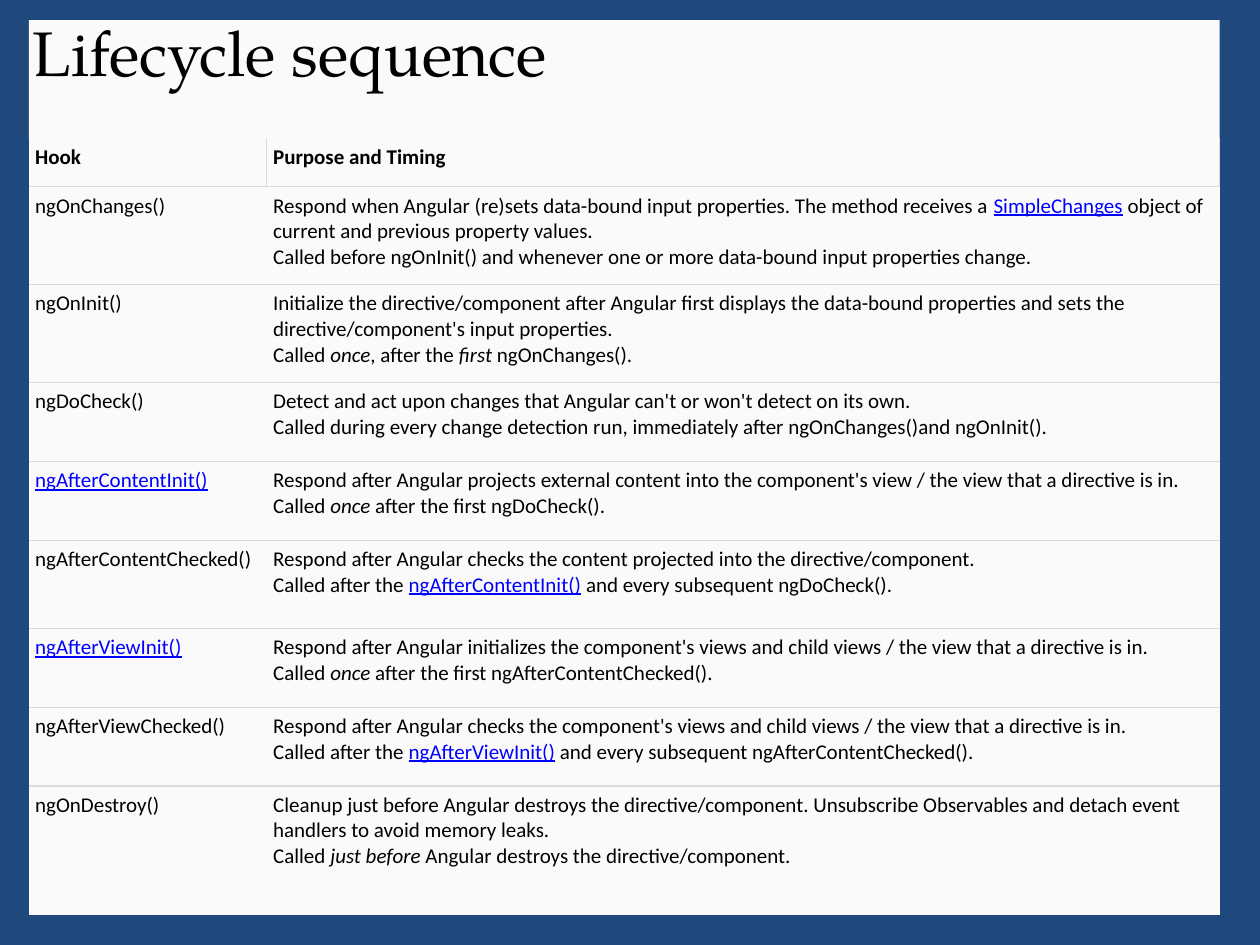
import pptx
import pptx.dml.color
import pptx.enum.text
import pptx.oxml
import pptx.oxml.ns
import pptx.util
from dataclasses import dataclass

Pt = pptx.util.Pt


@dataclass(frozen=True)
class Theme:
    """Colours, fonts and type sizes of the slide."""
    backdrop: str = "1F497D"
    panel: str = "FAFAFA"
    rule: str = "DBDBDB"
    ink: str = "000000"
    link: str = "0000FF"
    title_font: str = "TeX Gyre Pagella"
    body_font: str = "Calibri"
    title_size: float = 36
    body_size: float = 12
    rule_width: float = 0.75


THEME = Theme()
LEFT, TOP, TABLE_TOP = 16.5, 11.5, 78.75
COLUMN_WIDTHS = (136, 544.4)
ROW_HEIGHTS = (28, 56, 56, 45, 45, 50.5, 45, 45, 73.5)
LINK = {"color": THEME.link, "underline": True}
ITALIC = {"italic": True}

# Each cell is a list of paragraphs; each paragraph a list of (text, format) runs.
HOOKS = [
    ([[("ngOnChanges()", {})]], [
        [("Respond when Angular (re)sets data-bound input properties. "
          "The method receives a\u00a0", {}), ("SimpleChanges", LINK),
         ("\u00a0object of current and previous property values.", {})],
        [("Called before\u00a0ngOnInit()\u00a0and whenever one or more "
          "data-bound input properties change.", {})]]),
    ([[("ngOnInit()", {})]], [
        [("Initialize the directive/component after Angular first displays the "
          "data-bound properties and sets the directive/component's input properties.", {})],
        [("Called\u00a0", {}), ("once", ITALIC), (", after the\u00a0", {}),
         ("first\u00a0", ITALIC), ("ngOnChanges().", {})]]),
    ([[("ngDoCheck()", {})]], [
        [("Detect and act upon changes that Angular can't or won't detect on its own.", {})],
        [("Called during every change detection run, immediately "
          "after\u00a0ngOnChanges()and\u00a0ngOnInit().", {})]]),
    ([[("ngAfterContentInit()", LINK)]], [
        [("Respond after Angular projects external content into the component's "
          "view / the view that a directive is in.", {})],
        [("Called\u00a0", {}), ("once", ITALIC),
         ("\u00a0after the first\u00a0ngDoCheck().", {})]]),
    ([[("ngAfterContentChecked()", {})]], [
        [("Respond after Angular checks the content projected into the "
          "directive/component.", {})],
        [("Called after the\u00a0", {}), ("ngAfterContentInit()", LINK),
         ("\u00a0and every subsequent\u00a0ngDoCheck().", {})]]),
    ([[("ngAfterViewInit()", LINK)]], [
        [("Respond after Angular initializes the component's views and child "
          "views / the view that a directive is in.", {})],
        [("Called\u00a0", {}), ("once", ITALIC),
         ("\u00a0after the first\u00a0ngAfterContentChecked().", {})]]),
    ([[("ngAfterViewChecked()", {})]], [
        [("Respond after Angular checks the component's views and child views / "
          "the view that a directive is in.", {})],
        [("Called after the\u00a0", {}), ("ngAfterViewInit()", LINK),
         ("\u00a0and every subsequent\u00a0ngAfterContentChecked().", {})]]),
    ([[("ngOnDestroy()", {})]], [
        [("Cleanup just before Angular destroys the directive/component. Unsubscribe "
          "Observables and detach event handlers to avoid memory leaks.", {})],
        [("Called\u00a0", {}), ("just before", ITALIC),
         ("\u00a0Angular destroys the directive/component.", {})]]),
]
HEADER = tuple([[(label, {"bold": True})]] for label in ("Hook", "Purpose and Timing"))


def rgb(code):
    """Turn a hex code into a colour."""
    return pptx.dml.color.RGBColor.from_string(code)


def paint(fill, code):
    """Make a fill solid in one colour."""
    fill.solid()
    fill.fore_color.rgb = rgb(code)


def add_text(paragraph, text, font=THEME.body_font, size=THEME.body_size,
             color=THEME.ink, bold=False, italic=False, underline=False):
    """Append a formatted run to a paragraph."""
    run = paragraph.add_run()
    run.text = text
    run.font.name, run.font.size = font, Pt(size)
    run.font.bold, run.font.italic, run.font.underline = bold, italic, underline
    run.font.color.rgb = rgb(color)


def set_borders(cell, ruled_sides):
    """Rule the given sides of a cell and clear the others."""
    properties = cell._tc.get_or_add_tcPr()
    namespace = pptx.oxml.ns.nsdecls("a")
    for position, side in enumerate("LRTB"):
        paint_xml = "<a:noFill/>"
        if side in ruled_sides:
            paint_xml = f'<a:solidFill><a:srgbClr val="{THEME.rule}"/></a:solidFill>'
        properties.insert(position, pptx.oxml.parse_xml(
            f'<a:ln{side} {namespace} w="{Pt(THEME.rule_width)}">{paint_xml}</a:ln{side}>'))


def fill_cell(cell, paragraphs, ruled_sides):
    """Write and format one table cell."""
    cell.margin_left = cell.margin_right = Pt(3.6)
    cell.margin_top = cell.margin_bottom = Pt(3.6)
    paint(cell.fill, THEME.panel)
    set_borders(cell, ruled_sides)
    for index, runs in enumerate(paragraphs):
        frame = cell.text_frame
        paragraph = frame.add_paragraph() if index else frame.paragraphs[0]
        for text, style in runs:
            add_text(paragraph, text, **style)


def add_hook_table(slide):
    """Add the table of lifecycle hooks."""
    rows = [HEADER, *HOOKS]
    table = slide.shapes.add_table(
        len(rows), len(COLUMN_WIDTHS), Pt(LEFT), Pt(TABLE_TOP),
        Pt(sum(COLUMN_WIDTHS)), Pt(sum(ROW_HEIGHTS))).table
    table.first_row = table.horz_banding = False
    for column, width in zip(table.columns, COLUMN_WIDTHS):
        column.width = Pt(width)
    for row_index, contents in enumerate(rows):
        table.rows[row_index].height = Pt(ROW_HEIGHTS[row_index])
        for column_index, paragraphs in enumerate(contents):
            if row_index == 0:
                sides = "LRB" if column_index else "RB"
            else:
                sides = "T" if row_index == len(rows) - 1 else "TB"
            fill_cell(table.cell(row_index, column_index), paragraphs, sides)


def place_title(slide, text):
    """Move the title above the table, on its own panel and in front."""
    title = slide.shapes.title
    title.left, title.top = Pt(LEFT), Pt(TOP)
    title.width, title.height = Pt(sum(COLUMN_WIDTHS)), Pt(TABLE_TOP - TOP)
    paint(title.fill, THEME.panel)
    frame = title.text_frame
    frame.word_wrap = True
    frame.auto_size = pptx.enum.text.MSO_AUTO_SIZE.NONE
    frame.vertical_anchor = pptx.enum.text.MSO_ANCHOR.TOP
    frame.margin_left = frame.margin_right = Pt(2.2)
    frame.margin_top = frame.margin_bottom = 0
    heading = frame.paragraphs[0]
    heading.alignment = pptx.enum.text.PP_ALIGN.JUSTIFY
    heading.line_spacing = 0.93
    heading.space_before = Pt(0)
    add_text(heading, text, font=THEME.title_font, size=THEME.title_size)
    slide.shapes._spTree.append(title._element)


def main():
    """Build and save the slide."""
    deck = pptx.Presentation()
    deck.slide_width, deck.slide_height = Pt(720), Pt(540)
    slide = deck.slides.add_slide(deck.slide_layouts[5])
    paint(slide.background.fill, THEME.backdrop)
    add_hook_table(slide)
    place_title(slide, "Lifecycle sequence")
    deck.save("out.pptx")


main()
